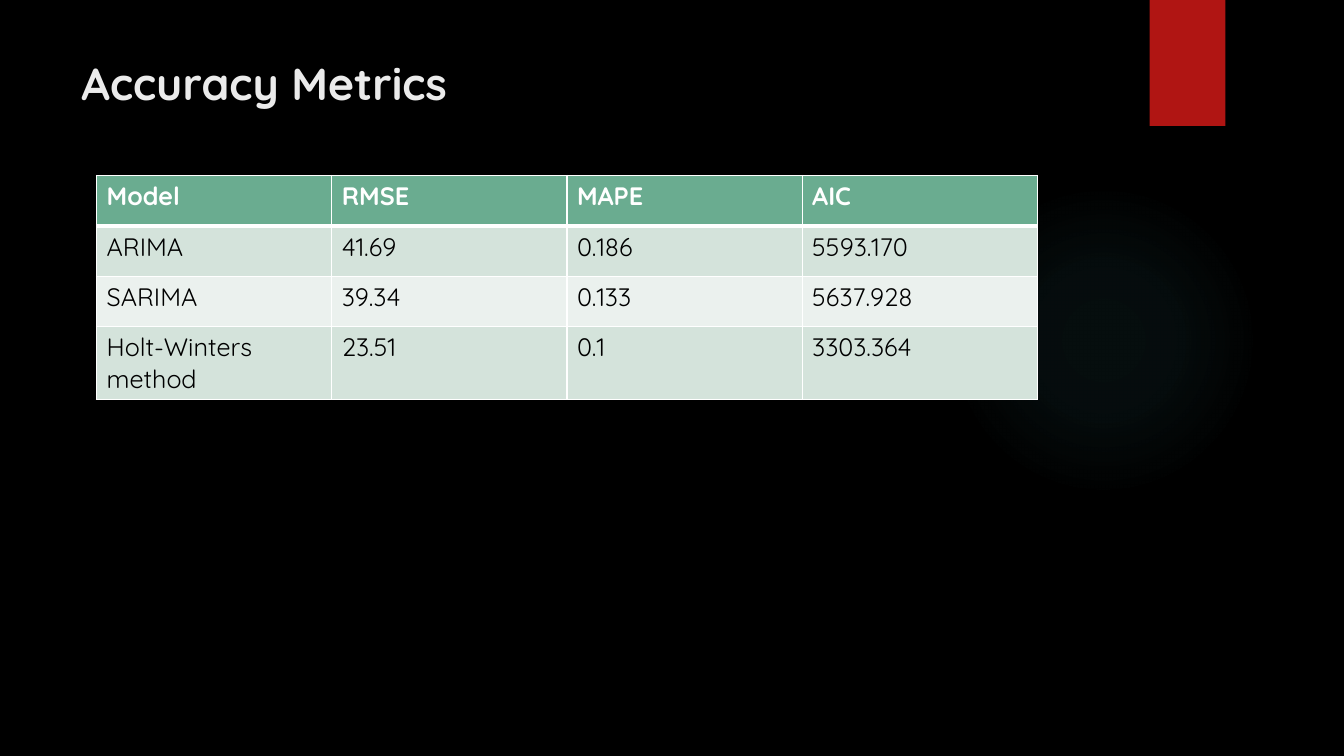
from dataclasses import dataclass

from pptx import Presentation
from pptx.dml.color import RGBColor
from pptx.enum.shapes import MSO_SHAPE
from pptx.enum.text import MSO_ANCHOR, MSO_AUTO_SIZE, PP_ALIGN
from pptx.oxml import parse_xml
from pptx.oxml.ns import nsdecls
from pptx.util import Emu, Pt

ELLIPSE, RECTANGLE = MSO_SHAPE.OVAL, MSO_SHAPE.RECTANGLE
TOP, LEFT, NO_AUTOFIT = MSO_ANCHOR.TOP, PP_ALIGN.LEFT, MSO_AUTO_SIZE.NONE

BLACK = RGBColor(0x00, 0x00, 0x00)
WHITE = RGBColor(0xFF, 0xFF, 0xFF)
TITLE_GREY = RGBColor(0xEB, 0xEB, 0xEB)
RIBBON_RED = RGBColor(0xB0, 0x15, 0x13)
GLOW_TEAL = RGBColor(0x50, 0xB9, 0xC1)
HEADER_GREEN = RGBColor(0x6A, 0xAC, 0x90)
BAND_GREEN = RGBColor(0xD4, 0xE3, 0xDB)
BAND_PALE = RGBColor(0xEB, 0xF1, 0xEE)

FONT = "Quicksand"
EMU_PER_PX = 9525
TITLE_LAYOUT = 5
COLUMN_WIDTH, ROW_HEIGHT = 224, 48
THIN, THICK = Pt(1), Pt(3)


@dataclass(frozen=True)
class Box:
    left: int
    top: int
    width: int
    height: int

    def emu(self) -> tuple[Emu, ...]:
        return tuple(px(n) for n in (self.left, self.top, self.width, self.height))


@dataclass(frozen=True)
class Decoration:
    kind: MSO_SHAPE
    box: Box
    color: RGBColor


@dataclass(frozen=True)
class ModelScore:
    model: str
    rmse: str
    mape: str
    aic: str

    def values(self) -> tuple[str, ...]:
        return self.model, self.rmse, self.mape, self.aic


GLOW = Decoration(ELLIPSE, Box(903, 176, 296, 296), GLOW_TEAL)
RIBBON = Decoration(RECTANGLE, Box(1095, 0, 72, 120), RIBBON_RED)
TITLE_BOX = Box(68, 48, 988, 76)
HEADINGS = ("Model", "RMSE", "MAPE", "AIC")
SCORES = (
    ModelScore("ARIMA", "41.69", "0.186", "5593.170"),
    ModelScore("SARIMA", "39.34", "0.133", "5637.928"),
    ModelScore("Holt-Winters method", "23.51", "0.1", "3303.364"),
)
TABLE_BOX = Box(92, 167, COLUMN_WIDTH * len(HEADINGS), ROW_HEIGHT * (len(SCORES) + 1))


def px(count: int) -> Emu:
    return Emu(count * EMU_PER_PX)


def style_text(text_frame, size: int, color: RGBColor, bold: bool) -> None:
    for paragraph in text_frame.paragraphs:
        for run in paragraph.runs:
            run.font.name = FONT
            run.font.size = Pt(size)
            run.font.bold = bold
            run.font.color.rgb = color


def add_decoration(slide, decoration: Decoration):
    shape = slide.shapes.add_shape(decoration.kind, *decoration.box.emu())
    shape.shadow.inherit = False
    shape.line.fill.background()
    shape.fill.solid()
    shape.fill.fore_color.rgb = decoration.color
    return shape


def fade_outward(shape, color: RGBColor) -> None:
    """Replace the solid fill by a circular gradient that fades to nothing."""
    stops = "".join(
        f'<a:gs pos="{position * 1000}"><a:srgbClr val="{color}">'
        f'<a:alpha val="{alpha * 1000}"/></a:srgbClr></a:gs>'
        for position, alpha in ((0, 7), (36, 6), (69, 0))
    )
    gradient = parse_xml(
        f'<a:gradFill {nsdecls("a")} rotWithShape="1"><a:gsLst>{stops}</a:gsLst>'
        '<a:path path="circle"><a:fillToRect l="50000" t="50000" r="50000" b="50000"/>'
        "</a:path></a:gradFill>"
    )
    properties = shape.element.spPr
    properties.replace(properties.find("{*}solidFill"), gradient)


def set_borders(cell, top: Emu, bottom: Emu) -> None:
    properties = cell._tc.get_or_add_tcPr()
    widths = {"lnL": THIN, "lnR": THIN, "lnT": top, "lnB": bottom}
    for index, (tag, width) in enumerate(widths.items()):
        border = parse_xml(
            f'<a:{tag} {nsdecls("a")} w="{int(width)}"><a:solidFill>'
            f'<a:srgbClr val="{WHITE}"/></a:solidFill></a:{tag}>'
        )
        properties.insert(index, border)


def add_title(slide, text: str) -> None:
    title = slide.shapes.title
    title.left, title.top, title.width, title.height = TITLE_BOX.emu()
    frame = title.text_frame
    frame.text = text
    frame.auto_size = NO_AUTOFIT
    frame.vertical_anchor = TOP
    frame.paragraphs[0].alignment = LEFT
    style_text(frame, 32, TITLE_GREY, True)


def add_score_table(slide) -> None:
    rows = (HEADINGS, *(score.values() for score in SCORES))
    table = slide.shapes.add_table(len(rows), len(HEADINGS), *TABLE_BOX.emu()).table
    for row_index, values in enumerate(rows):
        is_header = row_index == 0
        band = BAND_GREEN if row_index % 2 else BAND_PALE
        for column_index, value in enumerate(values):
            cell = table.cell(row_index, column_index)
            cell.text_frame.text = value
            style_text(cell.text_frame, 18, WHITE if is_header else BLACK, is_header)
            cell.fill.solid()
            cell.fill.fore_color.rgb = HEADER_GREEN if is_header else band
            set_borders(
                cell,
                top=THICK if row_index == 1 else THIN,
                bottom=THICK if is_header else THIN,
            )


def main() -> None:
    presentation = Presentation()
    presentation.slide_width, presentation.slide_height = px(1280), px(720)
    slide = presentation.slides.add_slide(presentation.slide_layouts[TITLE_LAYOUT])
    slide.background.fill.solid()
    slide.background.fill.fore_color.rgb = BLACK
    fade_outward(add_decoration(slide, GLOW), GLOW.color)
    add_decoration(slide, RIBBON)
    add_title(slide, "Accuracy Metrics")
    add_score_table(slide)
    presentation.save("out.pptx")


if __name__ == "__main__":
    main()
